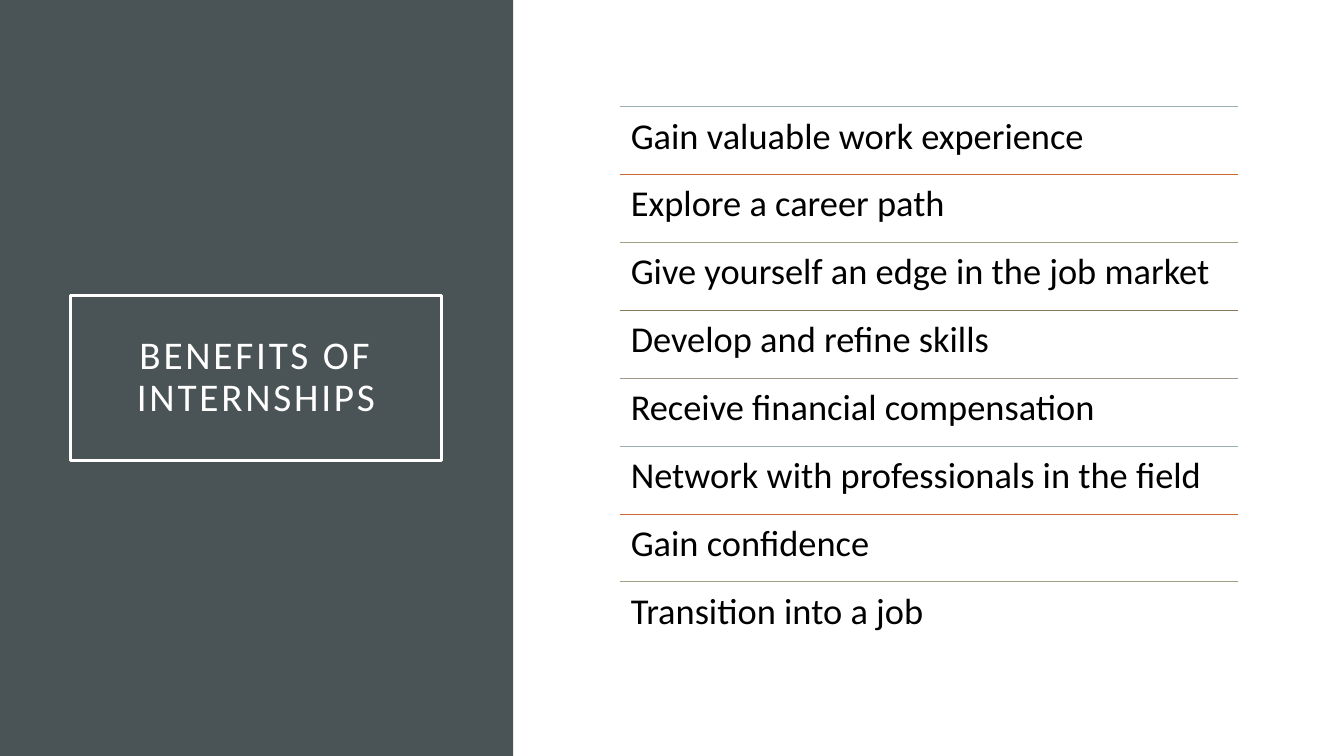
from pptx import Presentation
from pptx.dml.color import RGBColor
from pptx.enum.shapes import MSO_CONNECTOR, MSO_SHAPE
from pptx.enum.text import MSO_ANCHOR, MSO_AUTO_SIZE, PP_ALIGN
from pptx.oxml.ns import qn
from pptx.util import Pt
from lxml import etree

TITLE = "BENEFITS OF INTERNSHIPS"
BENEFITS = [
    "Gain valuable work experience",
    "Explore a career path",
    "Give yourself an edge in the job market",
    "Develop and refine skills",
    "Receive financial compensation",
    "Network with professionals in the field",
    "Gain confidence",
    "Transition into a job",
]

WHITE = RGBColor(0xFF, 0xFF, 0xFF)
BLACK = RGBColor(0x00, 0x00, 0x00)
SLATE = RGBColor(0x4A, 0x53, 0x56)
RULE_COLORS = [
    RGBColor(0x9B, 0xAF, 0xB5),
    RGBColor(0xC9, 0x67, 0x31),
    RGBColor(0x9C, 0xA3, 0x83),
    RGBColor(0x87, 0x79, 0x5D),
    RGBColor(0xA0, 0x98, 0x8C),
]
FONT = "Calibri"
CENTER, LEFT = PP_ALIGN.CENTER, PP_ALIGN.LEFT
MIDDLE, TOP = MSO_ANCHOR.MIDDLE, MSO_ANCHOR.TOP
NO_AUTOFIT = MSO_AUTO_SIZE.NONE
RECTANGLE, STRAIGHT = MSO_SHAPE.RECTANGLE, MSO_CONNECTOR.STRAIGHT

SLIDE_WIDTH, SLIDE_HEIGHT = 960, 540
PANEL_WIDTH = 366.5
TITLE_FRAME = {"left": 50.4, "top": 211, "width": 265, "height": 118}
LIST_LEFT, LIST_TOP, LIST_WIDTH = 442.8, 76.3, 441.4
ROW_HEIGHT = 48.47


def apply(target, values):
    for name, value in values.items():
        setattr(target, name, value)


def write(shape, text, size, color, inset, anchor, align):
    frame = shape.text_frame
    apply(frame, {"word_wrap": True, "auto_size": NO_AUTOFIT, "vertical_anchor": anchor})
    apply(frame, {f"margin_{side}": Pt(inset) for side in ("left", "top", "right", "bottom")})
    para = frame.paragraphs[0]
    apply(para, {"alignment": align, "line_spacing": 0.9, "space_before": Pt(0)})
    span = para.add_run()
    span.text = text
    apply(span.font, {"name": FONT, "size": Pt(size), "bold": False})
    span.font.color.rgb = color
    return span


def add_panel(page):
    panel = page.shapes.add_shape(RECTANGLE, 0, 0, Pt(PANEL_WIDTH), Pt(SLIDE_HEIGHT))
    panel.shadow.inherit = False
    panel.fill.solid()
    panel.fill.fore_color.rgb = SLATE
    panel.line.fill.background()
    return panel


def add_title(page, panel):
    title = page.shapes.title
    apply(title, {side: Pt(length) for side, length in TITLE_FRAME.items()})
    title.line.color.rgb = WHITE
    title.line.width = Pt(2.5)
    span = write(title, TITLE, 28, WHITE, 14.4, MIDDLE, CENTER)
    span.font._element.set("spc", "200")
    # The title stands in front of the panel
    panel._element.addnext(title._element)


def add_benefit(page, index, text):
    top = Pt(LIST_TOP + index * ROW_HEIGHT)
    left, width = Pt(LIST_LEFT), Pt(LIST_WIDTH)
    rule = page.shapes.add_connector(STRAIGHT, left, top, left + width, top)
    rule.line.color.rgb = RULE_COLORS[index % len(RULE_COLORS)]
    rule.line.width = Pt(0.5)
    etree.SubElement(rule._element.spPr, qn("a:effectLst"))
    box = page.shapes.add_textbox(left, top, width, Pt(ROW_HEIGHT))
    write(box, text, 26, BLACK, 7.8, TOP, LEFT)


def main():
    deck = Presentation()
    deck.slide_width, deck.slide_height = Pt(SLIDE_WIDTH), Pt(SLIDE_HEIGHT)
    page = deck.slides.add_slide(deck.slide_layouts.get_by_name("Title Only"))
    add_title(page, add_panel(page))
    for index, text in enumerate(BENEFITS):
        add_benefit(page, index, text)
    deck.save("out.pptx")


if __name__ == "__main__":
    main()
